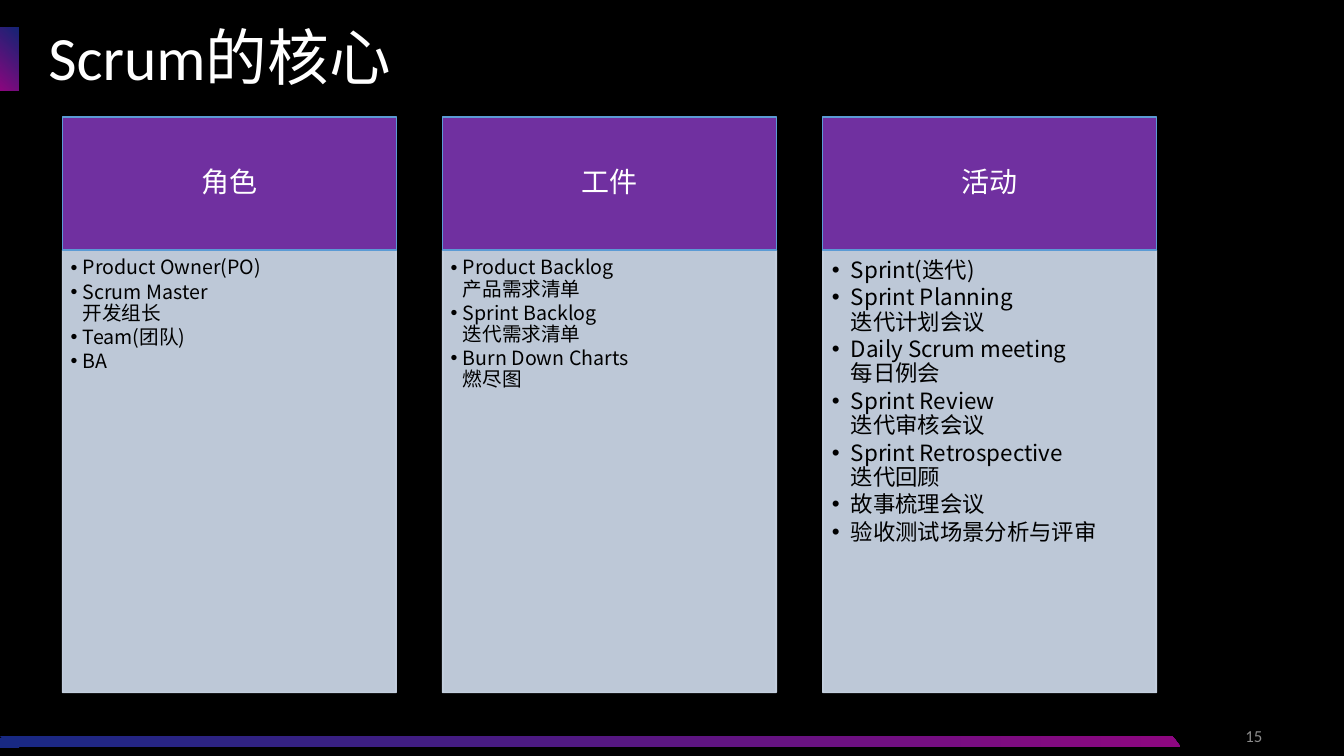
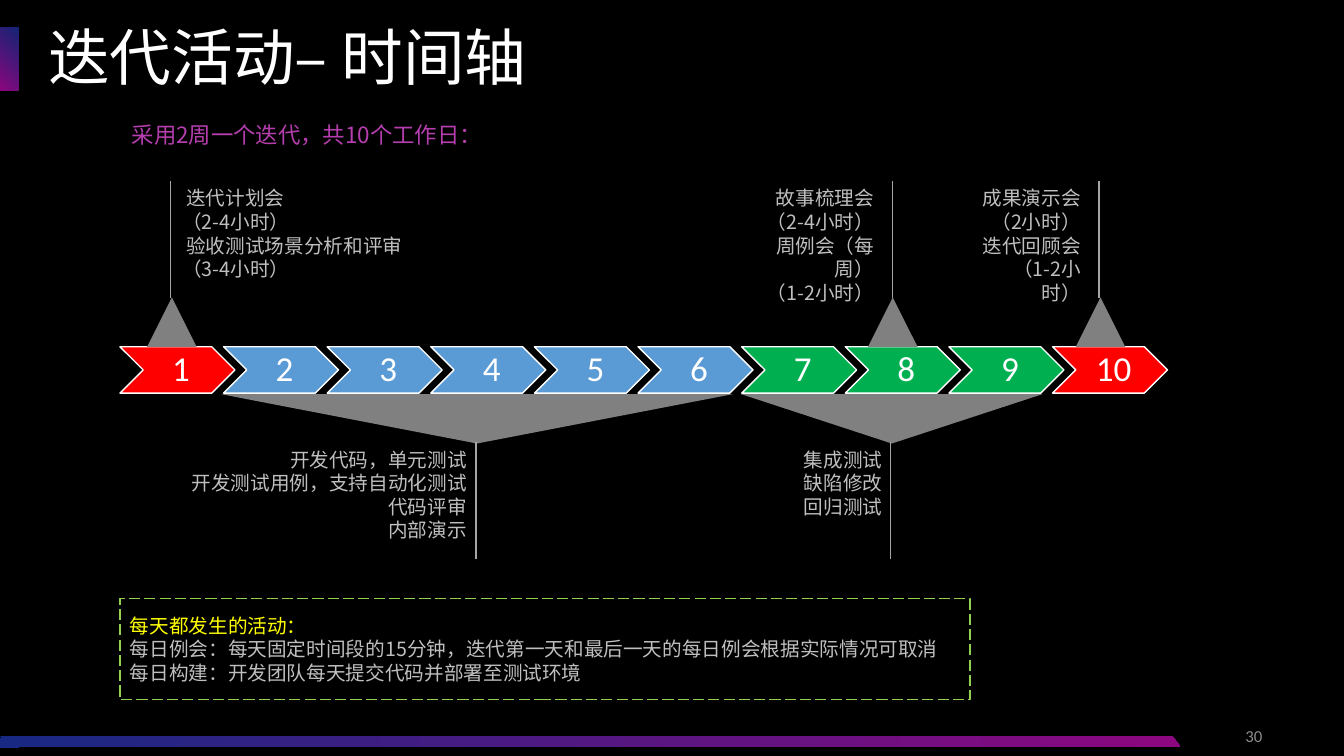
from copy import deepcopy
from lxml import etree
from pptx import Presentation
from pptx import util as u
from pptx.dml.color import RGBColor
from pptx.enum import dml, shapes, text
from pptx.oxml import ns

I = u.Inches
GEO = shapes.MSO_SHAPE
TOP, MID = text.MSO_ANCHOR.TOP, text.MSO_ANCHOR.MIDDLE
LEFT, CENTER, RIGHT = text.PP_ALIGN.LEFT, text.PP_ALIGN.CENTER, text.PP_ALIGN.RIGHT
LATIN, HAN = "Calibri", "Noto Sans CJK SC"
INSET = (0.1, 0.05, 0.1, 0.05)
HEX = {
    "black": "000000", "white": "FFFFFF", "navy": "182983", "plum": "8D0780",
    "page": "8C8C8C", "purple": "7030A0", "blue": "5B9BD5", "pale": "D2DEEF",
    "red": "FF0000", "green": "00B050", "gray": "808080", "rule": "A5A5A5",
    "note": "BFBFBF", "pink": "B53EAE", "lime": "92D050", "yellow": "FFFF00",
}


def rgb(name):
    return RGBColor.from_string(HEX[name])


def fade(node, pct):
    """Make every plain colour below the node partly transparent."""
    for clr in node.iter(ns.qn("a:srgbClr")):
        etree.SubElement(clr, ns.qn("a:alpha")).set("val", str(pct * 1000))


class Deck:
    def __init__(self):
        self.prs = Presentation()
        self.prs.slide_width, self.prs.slide_height = I(13.33), I(7.5)
        back = self.prs.slide_master.background.fill
        back.solid()
        back.fore_color.rgb = rgb("black")
        self.slide = None

    # Shared frame: accent, page number, bottom band and title
    def page(self, layout, title, num):
        self.slide = self.prs.slides.add_slide(self.prs.slide_layouts[layout])
        mark = self.shape(GEO.RECTANGLE, 0, 0.27, 0.18, 0.63)
        stops = self.blend(mark, 225)
        fade(stops[0]._gs, 90)
        self.label([num], 9.62, 7.1, 3, 0.4, size=12, color="page",
                   face=LATIN, align=RIGHT, anchor=MID, wrap=True, grow=False)
        band = self.shape(GEO.PARALLELOGRAM, 0, 7.3, 11.71, 0.11)
        band.adjustments[0] = 0.775
        band._element.spPr.xfrm.set("flipH", "1")
        self.blend(band, 180)
        self.shape(GEO.RECTANGLE, 0, 7.32, 0.19, 0.1, "navy")
        head = self.slide.shapes.title
        self.place(head, 0.38, 0.27, 11.1, 0.63)
        self.put(head, [title], 44, "white", LATIN, inset=(0.1, 0, 0.1, 0.05),
                 space=0.9)

    def place(self, box, x, y, w, h):
        box.left, box.top, box.width, box.height = I(x), I(y), I(w), I(h)

    def blend(self, box, angle):
        box.fill.gradient()
        box.fill.gradient_angle = angle
        stops = box.fill.gradient_stops
        for stop, name in zip(stops, ("navy", "plum")):
            stop.color.rgb = rgb(name)
        return stops

    def paint(self, box, fill=None, line=None):
        if fill:
            box.fill.solid()
            box.fill.fore_color.rgb = rgb(fill)
        else:
            box.fill.background()
        if line:
            box.line.color.rgb = rgb(line)
            box.line.width = u.Pt(1)
        else:
            box.line.fill.background()

    def shape(self, kind, x, y, w, h, fill=None, line=None):
        box = self.slide.shapes.add_shape(kind, I(x), I(y), I(w), I(h))
        box.shadow.inherit = False
        self.paint(box, fill, line)
        return box

    # Text: a line is a string, or a string with an indent on its aligned side
    def put(self, box, lines, size, color, face=HAN, align=LEFT, anchor=TOP,
            inset=INSET, space=1.0, after=0, bullet=0, wrap=True):
        frame = box.text_frame
        frame.word_wrap = wrap
        frame.auto_size = text.MSO_AUTO_SIZE.NONE
        frame.vertical_anchor = anchor
        (frame.margin_left, frame.margin_top,
         frame.margin_right, frame.margin_bottom) = map(I, inset)
        for i, line in enumerate(lines):
            words, gap = line if isinstance(line, tuple) else (line, 0)
            para = frame.paragraphs[0] if i == 0 else frame.add_paragraph()
            para.text = words
            para.alignment = align
            para.line_spacing = space
            para.space_before, para.space_after = u.Pt(0), u.Pt(after)
            prop = para._p.get_or_add_pPr()
            if gap:
                prop.set("marR" if align == RIGHT else "marL", str(I(gap)))
            if bullet:
                prop.set("marL", str(I(bullet)))
                prop.set("indent", str(I(-bullet)))
                etree.SubElement(prop, ns.qn("a:buChar")).set("char", "•")
            for run in para.runs:
                font = run.font
                font.name, font.size, font.bold = face, u.Pt(size), False
                font.color.rgb = rgb(color)
                east = etree.SubElement(run._r.rPr, ns.qn("a:ea"))
                east.set("typeface", HAN)
            for brk in para._p.iter(ns.qn("a:br")):
                brk.append(deepcopy(para.runs[0]._r.rPr))

    def label(self, lines, x, y, w, h, size=14, color="note", grow=True,
              wrap=False, **style):
        box = self.slide.shapes.add_textbox(I(x), I(y), I(w), I(h))
        self.put(box, lines, size, color, wrap=wrap, **style)
        if grow:
            box.text_frame.auto_size = text.MSO_AUTO_SIZE.SHAPE_TO_FIT_TEXT

    def rule(self, x, y, end):
        line = self.slide.shapes.add_connector(
            shapes.MSO_CONNECTOR.STRAIGHT, I(x), I(y), I(x), I(end))
        line.line.color.rgb = rgb("rule")
        line.line.width = u.Pt(1)
        etree.SubElement(line._element.spPr, ns.qn("a:effectLst"))

    # Column: coloured header above a bulleted list placeholder
    def column(self, x, head, idx, items, size, hang, inset):
        top = self.shape(GEO.RECTANGLE, x, 1.16, 3.31, 1.32, "purple", "blue")
        self.put(top, [head], 20, "white", align=CENTER, anchor=MID,
                 inset=(0.16, 0.09, 0.16, 0.09), space=0.9)
        body = self.slide.placeholders[idx]
        self.place(body, x, 2.48, 3.31, 4.39)
        self.paint(body, "pale", "pale")
        fade(body._element.spPr, 90)
        self.put(body, items, size, "black", inset=inset, space=0.9,
                 after=round(size * 0.15, 1), bullet=hang)

    # Callout: triangle and rule
    def pin(self, x, y, w, mid, start, end, down=False):
        tip = self.shape(GEO.ISOSCELES_TRIANGLE, x, y, w, 0.49, "gray")
        if down:
            tip.rotation = 180
        self.rule(mid, start, end)


def core(deck):
    deck.page(4, "Scrum的核心", "15")
    small = (14, 0.12, (0.08, 0.08, 0.11, 0.12))
    large = (16, 0.19, (0.09, 0.09, 0.12, 0.14))
    columns = [
        ("角色", 1, small, ["Product Owner(PO)", "Scrum Master\n开发组长",
                          "Team(团队)", "BA"]),
        ("工件", 2, small, ["Product Backlog\n产品需求清单",
                          "Sprint Backlog\n迭代需求清单",
                          "Burn Down Charts\n燃尽图"]),
        ("活动", 4, large, ["Sprint(迭代)", "Sprint Planning\n迭代计划会议",
                          "Daily Scrum meeting\n每日例会",
                          "Sprint Review\n迭代审核会议",
                          "Sprint Retrospective\n迭代回顾",
                          "故事梳理会议", "验收测试场景分析与评审"]),
    ]
    for i, (head, idx, style, items) in enumerate(columns):
        deck.column(0.62 + 3.77 * i, head, idx, items, *style)
    spare = deck.slide.placeholders[3]._element
    spare.getparent().remove(spare)


def timeline(deck):
    deck.page(5, "迭代活动– 时间轴", "30")

    # Ten working days
    days = ["red"] + ["blue"] * 5 + ["green"] * 3 + ["red"]
    step = (10.44 - 1.19) / 9
    for i, color in enumerate(days):
        day = deck.shape(GEO.CHEVRON, 1.19 + step * i, 3.44, 1.14, 0.46,
                         color, "white")
        deck.put(day, [str(i + 1)], 25, "white", LATIN, CENTER, MID,
                 inset=(0.11, 0.04, 0.04, 0.04), space=0.9)

    # Meetings above the days
    for x, mid in ((1.46, 1.69), (8.61, 8.85), (10.67, 10.9)):
        deck.pin(x, 2.95, 0.49, mid, 2.96, 1.8)
    deck.label([("迭代计划会", 0.04), "（2-4小时）",
                ("验收测试场景分析和评审", 0.04), "（3-4小时）"],
               1.71, 1.8, 2.42, 1.04)
    deck.label([("故事梳理会", 0.09), "（2-4小时）", "周例会（每周）", "（1-2小时）"],
               7.28, 1.8, 1.58, 1.04, align=RIGHT)
    deck.label([("成果演示会", 0.09), "（2小时）", ("迭代回顾会", 0.09), "（1-2小时）"],
               9.61, 1.8, 1.3, 1.04, align=RIGHT, wrap=True)

    # Work below the days
    for x, w, mid in ((2.19, 5.08, 4.72), (7.35, 2.99, 8.83)):
        deck.pin(x, 3.91, w, mid, 5.55, 4.39, down=True)
    deck.label(["开发代码，单元测试", "开发测试用例，支持自动化测试", "代码评审", "内部演示"],
               1.78, 4.39, 2.95, 1.04, align=RIGHT)
    deck.label(["集成测试", "缺陷修改", "回归测试"],
               7.86, 4.39, 0.99, 0.81, align=RIGHT)

    # Introduction and daily activities
    deck.label(["采用2周一个迭代，共10个工作日："], 1.21, 1.15, 3.8, 0.37,
               size=16, color="pink")
    daily = deck.shape(GEO.RECTANGLE, 1.19, 5.94, 8.43, 1, line="lime")
    daily.line.dash_style = dml.MSO_LINE.LONG_DASH
    deck.put(daily, ["每天都发生的活动：",
                     "每日例会：每天固定时间段的15分钟，迭代第一天和最后一天的每日例会根据实际情况可取消",
                     "每日构建：开发团队每天提交代码并部署至测试环境"],
             14, "note", anchor=MID)
    daily.text_frame.paragraphs[0].runs[0].font.color.rgb = rgb("yellow")


def main():
    deck = Deck()
    core(deck)
    timeline(deck)
    deck.prs.save("out.pptx")


if __name__ == "__main__":
    main()
